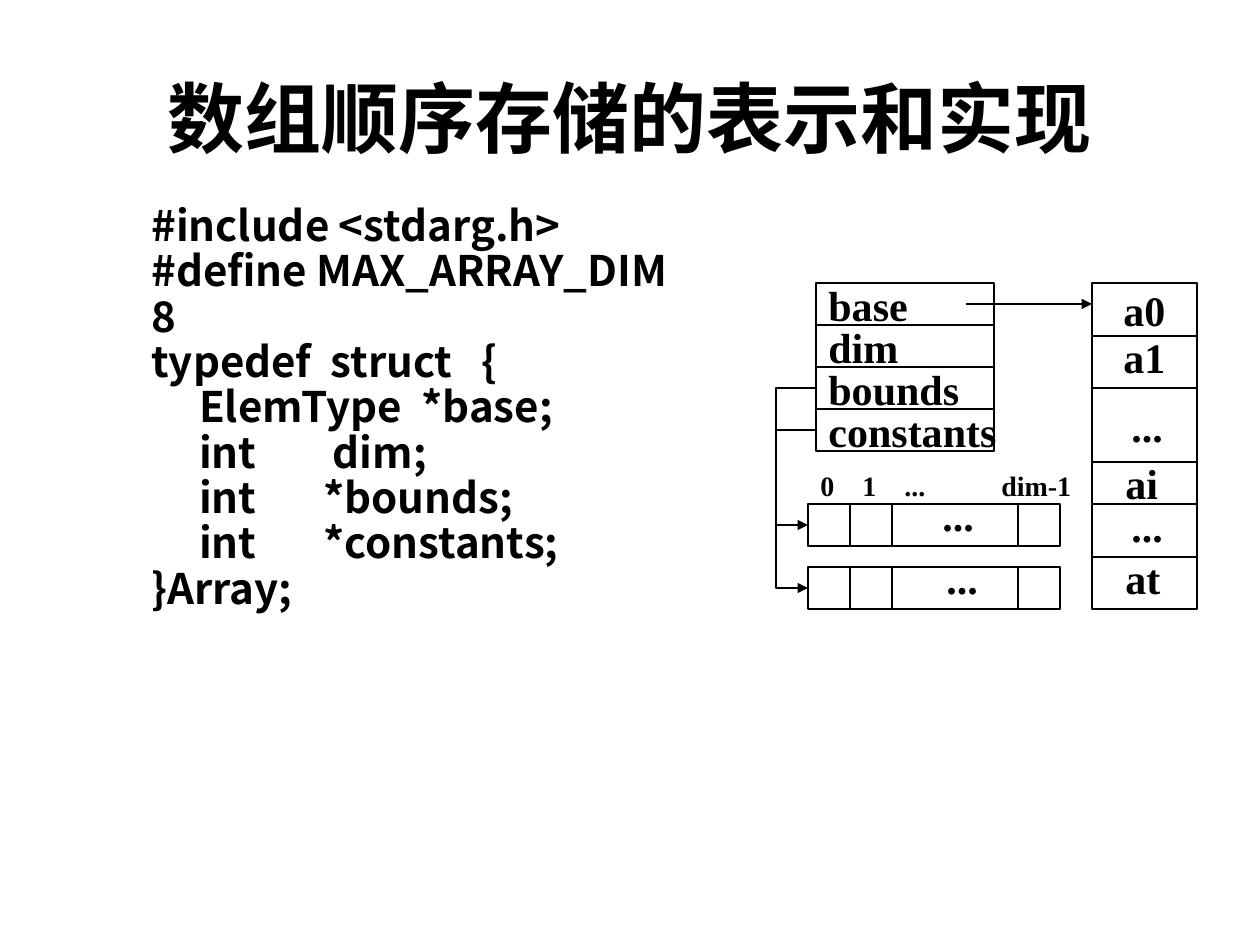
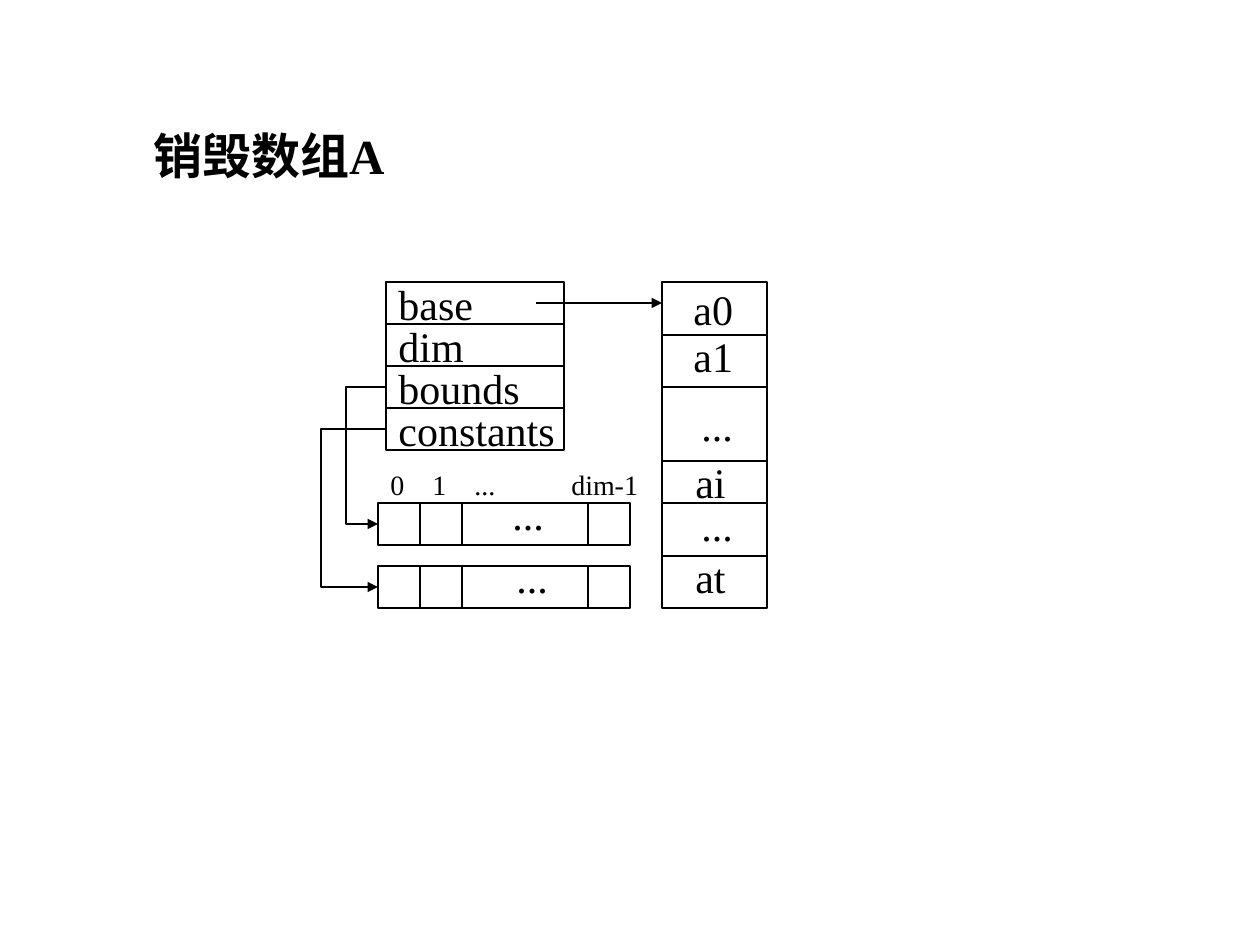
from dataclasses import dataclass

from lxml.etree import SubElement
from pptx import Presentation
from pptx.dml.color import RGBColor
from pptx.enum.shapes import MSO_CONNECTOR, MSO_SHAPE
from pptx.enum.text import MSO_ANCHOR, PP_ALIGN
from pptx.oxml.ns import qn
from pptx.util import Pt

PX = 914400 / 126
BLACK = RGBColor(0, 0, 0)
SERIF = "Times New Roman"
HAN = "Noto Sans CJK SC"
ROW = 42

CODE = """#include <stdarg.h>
#define MAX_ARRAY_DIM  8
typedef  struct   {
     ElemType  *base;
     int        dim;
     int       *bounds;
     int       *constants;
}Array;"""


@dataclass(frozen=True)
class Frame:
    """A box split by lines, placed relative to the diagram origin."""
    x: int
    y: int
    w: int
    h: int
    cuts: tuple[int, ...]
    upright: bool = False


@dataclass(frozen=True)
class Label:
    """A word placed relative to the diagram origin."""
    text: str
    x: int
    y: int
    w: int = 80


RECORD = Frame(0, 0, 178, 4 * ROW, (ROW, 2 * ROW, 3 * ROW))
HEAP = Frame(276, 0, 105, 326, (53, 105, 179, 221, 274))
STRIPS = [Frame(-8, y, 6 * ROW, ROW, (ROW, 2 * ROW, 5 * ROW), True)
          for y in (221, 284)]
FIELDS = [Label(name, 0, ROW * i - 10, 210)
          for i, name in enumerate(("base", "dim", "bounds", "constants"))]
ITEMS = [Label("a0", 295, -5), Label("a1", 295, 42), Label("...", 303, 111),
         Label("ai", 297, 168), Label("...", 303, 211), Label("at", 297, 263),
         Label("...", 114, 200), Label("...", 118, 263)]


def emu(px: int) -> int:
    """Turn px into EMU."""
    return round(px * PX)


def write(slide, text: str, x: int, y: int, w: int, h: int, *, size: int = 24,
          font: str = SERIF, bold: bool = False, align=PP_ALIGN.LEFT,
          anchor=MSO_ANCHOR.TOP, space: float = 1.0,
          tabs: tuple[int, ...] = ()) -> None:
    """Add a text box with one paragraph per line of text."""
    frame = slide.shapes.add_textbox(emu(x), emu(y), emu(w), emu(h)).text_frame
    frame.word_wrap = True
    frame.vertical_anchor = anchor
    for i, line in enumerate(text.split("\n")):
        para = frame.add_paragraph() if i else frame.paragraphs[0]
        para.alignment = align
        para.line_spacing = space
        if tabs:
            stops = SubElement(para._p.get_or_add_pPr(), qn("a:tabLst"))
            for stop in tabs:
                SubElement(stops, qn("a:tab"), pos=str(emu(stop)), algn="l")
        run = para.add_run()
        run.text = line
        run.font.size = Pt(size)
        run.font.bold = bold
        run.font.color.rgb = BLACK
        run.font.name = font
        SubElement(run._r.get_or_add_rPr(), qn("a:ea"), typeface=HAN)


def link(slide, x1: int, y1: int, x2: int, y2: int, *, arrow: bool = False,
         kind=MSO_CONNECTOR.STRAIGHT):
    """Add a thin black connector without a shadow."""
    line = slide.shapes.add_connector(kind, emu(x1), emu(y1), emu(x2), emu(y2))
    line.line.color.rgb = BLACK
    line.line.width = Pt(0.75)
    if arrow:
        SubElement(line.line._get_or_add_ln(), qn("a:tailEnd"), type="triangle")
    SubElement(line._element.spPr, qn("a:effectLst"))
    return line


def bend(slide, x1: int, y1: int, x2: int, y2: int, reach: int) -> None:
    """Add an elbow arrow that swings out to the left by reach."""
    line = link(slide, x1, y1, x2, y2, arrow=True, kind=MSO_CONNECTOR.ELBOW)
    guides = line._element.spPr.find(qn("a:prstGeom")).get_or_add_avLst()
    ratio = round(reach / (x1 - x2) * 100000)
    SubElement(guides, qn("a:gd"), name="adj1", fmla=f"val {ratio}")


def split(slide, part: Frame, left: int, top: int) -> None:
    """Draw a frame and its dividing lines."""
    x, y = left + part.x, top + part.y
    box = slide.shapes.add_shape(MSO_SHAPE.RECTANGLE, emu(x), emu(y),
                                 emu(part.w), emu(part.h))
    box.shadow.inherit = False
    box.fill.background()
    box.line.color.rgb = BLACK
    box.line.width = Pt(0.75)
    for cut in part.cuts:
        if part.upright:
            link(slide, x + cut, y, x + cut, y + part.h)
            continue
        line = link(slide, x, y + cut, x + part.w, y + cut)
        if 2 * cut == part.h:
            line.begin_connect(box, 1)
            line.end_connect(box, 3)


def draw(slide, left: int, top: int, bold: bool, reach: tuple[int, int]) -> None:
    """Draw the array diagram with its record at left, top."""
    for part in (RECORD, HEAP, *STRIPS):
        split(slide, part, left, top)
    for word in FIELDS + ITEMS:
        write(slide, word.text, left + word.x, top + word.y, word.w, 63, bold=bold)
    write(slide, "0\t1\t...\tdim-1", left - 8, top + 179, 300, 47, size=16,
          bold=bold, tabs=(ROW, 2 * ROW, 181))
    link(slide, left + 150, top + ROW // 2, left + HEAP.x, top + ROW // 2, arrow=True)
    for i, (strip, out) in enumerate(zip(STRIPS, reach)):
        bend(slide, left, top + ROW * (i + 2) + ROW // 2,
             left + strip.x, top + strip.y + ROW // 2, out)


def main() -> None:
    """Build both slides and save them."""
    deck = Presentation()
    deck.slide_width, deck.slide_height = emu(1260), emu(945)
    blank = deck.slide_layouts[6]

    store = deck.slides.add_slide(blank)
    write(store, "数组顺序存储的表示和实现", 63, 38, 1134, 158, size=44, font=HAN,
          bold=True, align=PP_ALIGN.CENTER, anchor=MSO_ANCHOR.MIDDLE)
    draw(store, 816, 283, True, (40, 40))
    write(store, CODE, 139, 199, 570, 421, font=HAN, bold=True, space=0.9)

    clear = deck.slides.add_slide(blank)
    write(clear, "销毁数组A", 141, 98, 1071, 113, size=28, bold=True,
          anchor=MSO_ANCHOR.MIDDLE)
    draw(clear, 386, 282, False, (40, 65))

    deck.save("out.pptx")


if __name__ == "__main__":
    main()
